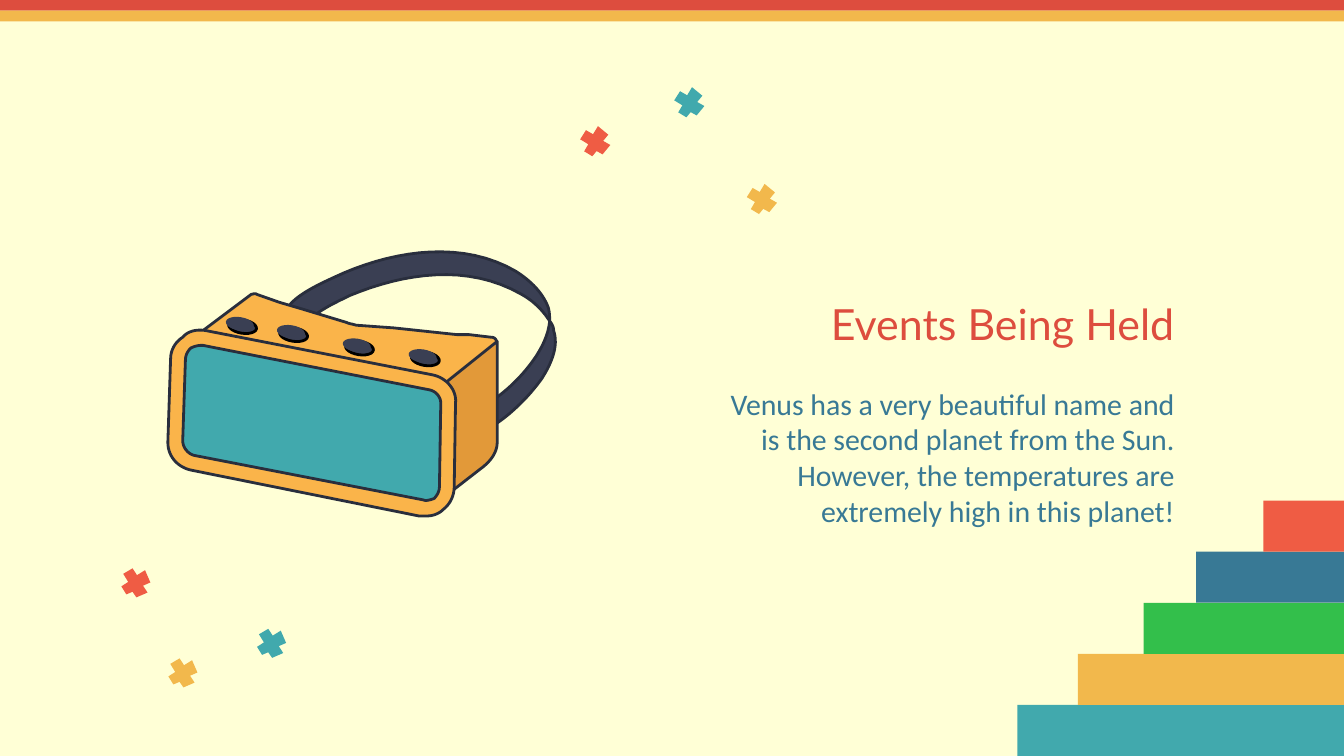
from typing import NamedTuple, Optional

from pptx import Presentation
from pptx import util as u
from pptx.dml.color import RGBColor
from pptx.enum import shapes, text

HUES = {
    "cream": "FFFFD6", "brick": "DD4D3E", "coral": "EF5C44", "gold": "F2B84C",
    "teal": "41A9AD", "green": "33BF4B", "blue": "387995", "slate": "3A3F53",
    "ink": "292E3D", "black": "000000", "amber": "FAB44A", "ochre": "E29939",
}
WIDE = 10
TALL = WIDE * 9 / 16
RISE = 0.38
STEPS = 16


class Bar(NamedTuple):
    left: float
    top: float
    width: float
    height: float
    hue: str


class Cross(NamedTuple):
    left: float
    top: float
    turn: float
    hue: str


class Part(NamedTuple):
    loops: list
    hue: str
    edge: str


class Label(NamedTuple):
    words: str
    font: str
    size: int
    hue: str


def tint(hue: str) -> RGBColor:
    return RGBColor.from_string(HUES[hue])


def paint(shape, hue: str, edge: Optional[str] = None) -> None:
    shape.shadow.inherit = False
    shape.fill.solid()
    shape.fill.fore_color.rgb = tint(hue)
    if edge:
        shape.line.color.rgb = tint(edge)
        shape.line.width = u.Pt(1.5)
    else:
        shape.line.fill.background()


def trace(loop: list) -> list:
    """Turn line ends (x, y) and cubic curves (six numbers) into points."""
    dots = [loop[0]]
    for step in loop[1:]:
        if len(step) == 2:
            dots.append(step)
            continue
        start = dots[-1]
        a, b, end = step[:2], step[2:4], step[4:]
        for i in range(1, STEPS + 1):
            t = i / STEPS
            s = 1 - t
            dots.append(tuple(
                s**3 * start[k] + 3 * s * s * t * a[k] + 3 * s * t * t * b[k] + t**3 * end[k]
                for k in (0, 1)))
    return [(u.Inches(x), u.Inches(y)) for x, y in dots]


def outline(slide, loops: list):
    first, *rest = [trace(loop) for loop in loops]
    pen = slide.shapes.build_freeform(*first[0])
    pen.add_line_segments(first[1:], close=True)
    for dots in rest:
        pen.move_to(*dots[0])
        pen.add_line_segments(dots[1:], close=True)
    return pen.convert_to_shape()


def add_bar(slide, bar: Bar) -> None:
    box = [u.Inches(n) for n in bar[:4]]
    paint(slide.shapes.add_shape(shapes.MSO_SHAPE.RECTANGLE, *box), bar.hue)


def add_cross(slide, cross: Cross) -> None:
    shape = outline(slide, [[(cross.left + x, cross.top + y) for x, y in ARMS]])
    shape.rotation = cross.turn
    paint(shape, cross.hue)


def add_part(slide, part: Part) -> None:
    paint(outline(slide, part.loops), part.hue, part.edge)


def add_knob(slide, left: float, top: float, edge: Optional[str] = None) -> None:
    shape = slide.shapes.add_shape(
        shapes.MSO_SHAPE.OVAL, u.Inches(left), u.Inches(top), u.Inches(0.21), u.Inches(0.1))
    shape.rotation = 9
    paint(shape, "slate", edge)


def write(shape, label: Label) -> None:
    frame = shape.text_frame
    frame.word_wrap = True
    frame.auto_size = text.MSO_AUTO_SIZE.NONE
    frame.vertical_anchor = text.MSO_ANCHOR.MIDDLE
    frame.margin_left = frame.margin_right = u.Inches(0.1)
    frame.margin_top = frame.margin_bottom = u.Inches(0.1)
    para = frame.paragraphs[0]
    para.alignment = text.PP_ALIGN.RIGHT
    run = para.add_run()
    run.text = label.words
    run.font.name = label.font
    run.font.size = u.Pt(label.size)
    run.font.color.rgb = tint(label.hue)


ARMS = [(0.16, 0.15), (0.16, 0.2), (0.09, 0.21), (0.08, 0.15), (0.01, 0.16), (0, 0.08),
        (0.06, 0.07), (0.05, 0), (0.15, 0), (0.15, 0.06), (0.21, 0.05), (0.21, 0.14)]
BANDS = [Bar(0, 0, WIDE, 0.08, "brick"), Bar(0, 0.08, WIDE, 0.08, "gold")]
STAIRS = [
    Bar(left, TALL - RISE * i, WIDE - left, RISE, hue)
    for i, (left, hue) in enumerate([
        (7.57, "teal"), (8.02, "gold"), (8.51, "green"), (8.9, "blue"), (9.4, "coral")], 1)
]
MARKS = [
    Cross(4.32, 0.95, 39.5, "coral"), Cross(5.02, 0.66, 39.5, "teal"),
    Cross(5.56, 1.38, 39.5, "gold"), Cross(0.9, 4.23, 66.5, "coral"),
    Cross(1.91, 4.68, 66.5, "teal"), Cross(1.25, 4.9, 66.5, "gold"),
]

STRAP = [(4.08, 2.29), (4.04, 2.18, 3.95, 2.09, 3.84, 2.02), (3.45, 1.79, 2.96, 1.86, 2.56, 2.03),
         (2.43, 2.09, 2.21, 2.18, 2.14, 2.29), (2.26, 2.43), (2.34, 2.32, 2.48, 2.26, 2.6, 2.2),
         (3.01, 2.03, 3.48, 1.96, 3.88, 2.19), (3.97, 2.24, 4.04, 2.31, 4.09, 2.39),
         (4.09, 2.36, 4.09, 2.33, 4.08, 2.29)]
BACK = [(4.12, 2.46), (4.12, 2.44, 4.11, 2.41, 4.09, 2.39), (4.08, 2.49, 4.04, 2.57, 3.99, 2.65),
        (3.87, 2.83, 3.69, 2.99, 3.49, 3.08), (3.53, 3.25), (3.73, 3.15, 3.9, 3, 4.03, 2.82),
        (4.1, 2.71, 4.16, 2.58, 4.12, 2.46)]
LID = [(3.68, 2.57), (3.32, 2.9), (3.31, 2.9, 3.3, 2.91, 3.27, 2.89), (3.05, 2.86), (2.36, 2.77),
       (1.88, 2.69), (1.34, 2.62), (1.33, 2.63, 1.45, 2.51, 1.47, 2.49), (1.87, 2.19),
       (1.88, 2.19, 1.9, 2.18, 1.91, 2.19), (2.08, 2.25), (2.25, 2.3), (2.58, 2.4),
       (2.6, 2.41, 2.62, 2.41, 2.65, 2.42), (2.93, 2.44), (3.4, 2.49), (3.49, 2.49), (3.66, 2.51),
       (3.69, 2.51, 3.71, 2.55, 3.68, 2.57)]
SIDE = [(3.7, 2.54), (3.7, 3.29), (3.7, 3.36, 3.66, 3.42, 3.6, 3.47), (3.2, 3.78), (3.2, 2.94)]
SCREEN = [(1.31, 3.27), (1.31, 3.36, 1.36, 3.42, 1.44, 3.44), (3.13, 3.78),
          (3.17, 3.79, 3.2, 3.78, 3.23, 3.77), (3.29, 3.74, 3.32, 3.69, 3.32, 3.62), (3.33, 3),
          (3.34, 2.93, 3.29, 2.85, 3.2, 2.84), (1.52, 2.52), (1.42, 2.5, 1.34, 2.57, 1.33, 2.67)]
RIM = [(3.17, 3.84), (3.15, 3.84, 3.14, 3.84, 3.12, 3.84), (1.43, 3.5),
       (1.32, 3.48, 1.24, 3.39, 1.25, 3.27), (1.27, 2.67), (1.27, 2.6, 1.31, 2.54, 1.36, 2.51),
       (1.4, 2.46, 1.47, 2.45, 1.53, 2.46), (3.22, 2.79), (3.32, 2.81, 3.4, 2.9, 3.39, 3),
       (3.38, 3.62), (3.38, 3.69, 3.35, 3.75, 3.3, 3.79), (3.26, 3.83, 3.21, 3.84, 3.17, 3.84)]
HOLE = [(1.5, 2.57), (1.47, 2.57, 1.44, 2.58, 1.42, 2.59), (1.4, 2.61, 1.38, 2.64, 1.38, 2.68),
        (1.36, 3.28), (1.36, 3.33, 1.4, 3.38, 1.45, 3.39), (3.15, 3.72),
        (3.17, 3.73, 3.2, 3.72, 3.23, 3.71), (3.25, 3.69, 3.27, 3.66, 3.27, 3.62), (3.28, 3),
        (3.28, 2.96, 3.25, 2.91, 3.19, 2.9), (1.51, 2.57)]
BODY = [Part([STRAP], "slate", "ink"), Part([BACK], "slate", "ink"), Part([LID], "amber", "ink"),
        Part([SIDE], "ochre", "ink"), Part([SCREEN], "teal", "black")]
FRONT = Part([RIM, HOLE], "amber", "ink")
KNOBS = [(3.04, 2.6), (2.55, 2.52), (2.06, 2.42), (1.68, 2.36)]
HEAD = Label("Events Being Held", "Lato", 23, "brick")
NOTE = Label("Venus has a very beautiful name and is the second planet from the Sun. "
             "However, the temperatures are extremely high in this planet!", "Calibri", 16, "blue")


def main() -> None:
    deck = Presentation()
    deck.slide_width, deck.slide_height = u.Inches(WIDE), u.Inches(TALL)
    slide = deck.slides.add_slide(deck.slide_layouts[5])
    slide.background.fill.solid()
    slide.background.fill.fore_color.rgb = tint("cream")
    for bar in BANDS + STAIRS:
        add_bar(slide, bar)

    title = slide.shapes.title
    title.left, title.top = u.Inches(4.95), u.Inches(2.01)
    title.width, title.height = u.Inches(3.89), u.Inches(0.79)
    write(title, HEAD)
    write(slide.shapes.add_textbox(
        u.Inches(5.21), u.Inches(2.88), u.Inches(3.63), u.Inches(1.04)), NOTE)

    for mark in MARKS:
        add_cross(slide, mark)
    for part in BODY:
        add_part(slide, part)
    for left, top in KNOBS:
        add_knob(slide, left + 0.02, top + 0.02, "black")
        add_knob(slide, left, top)
    add_part(slide, FRONT)
    deck.save("out.pptx")


if __name__ == "__main__":
    main()
